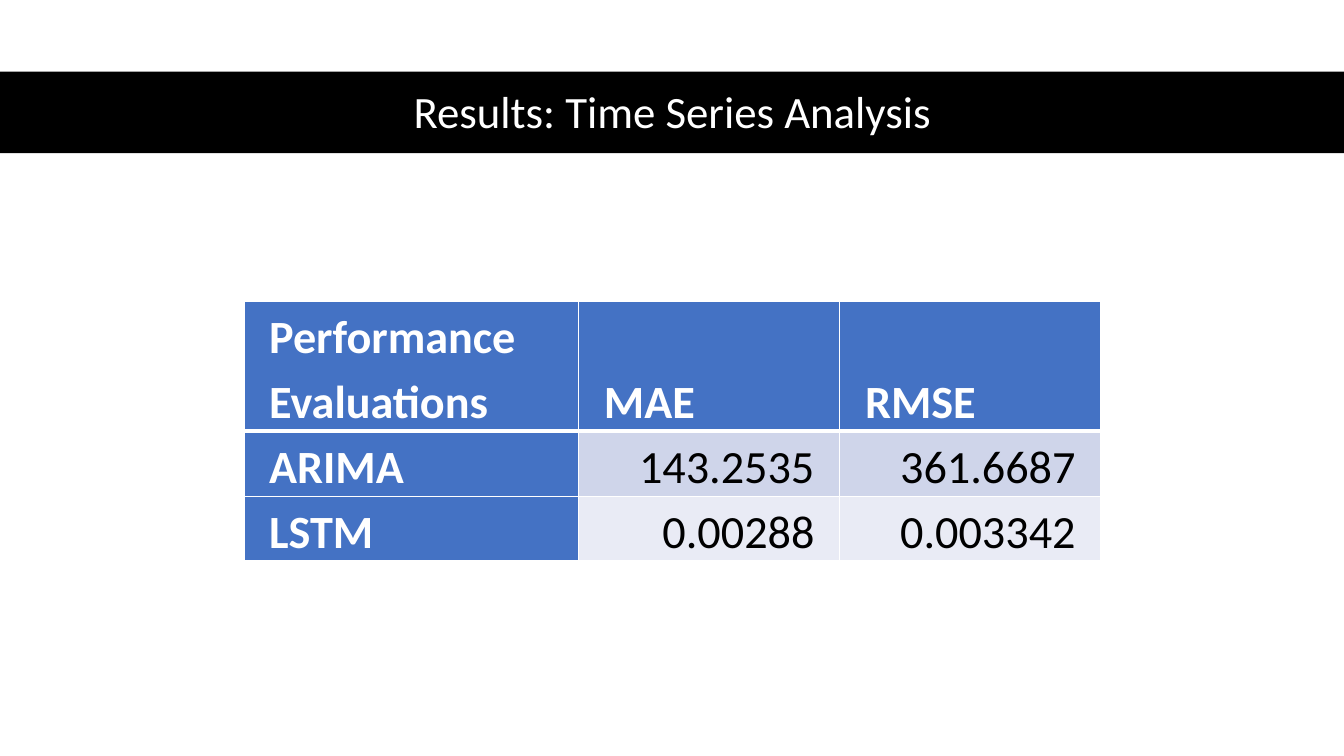
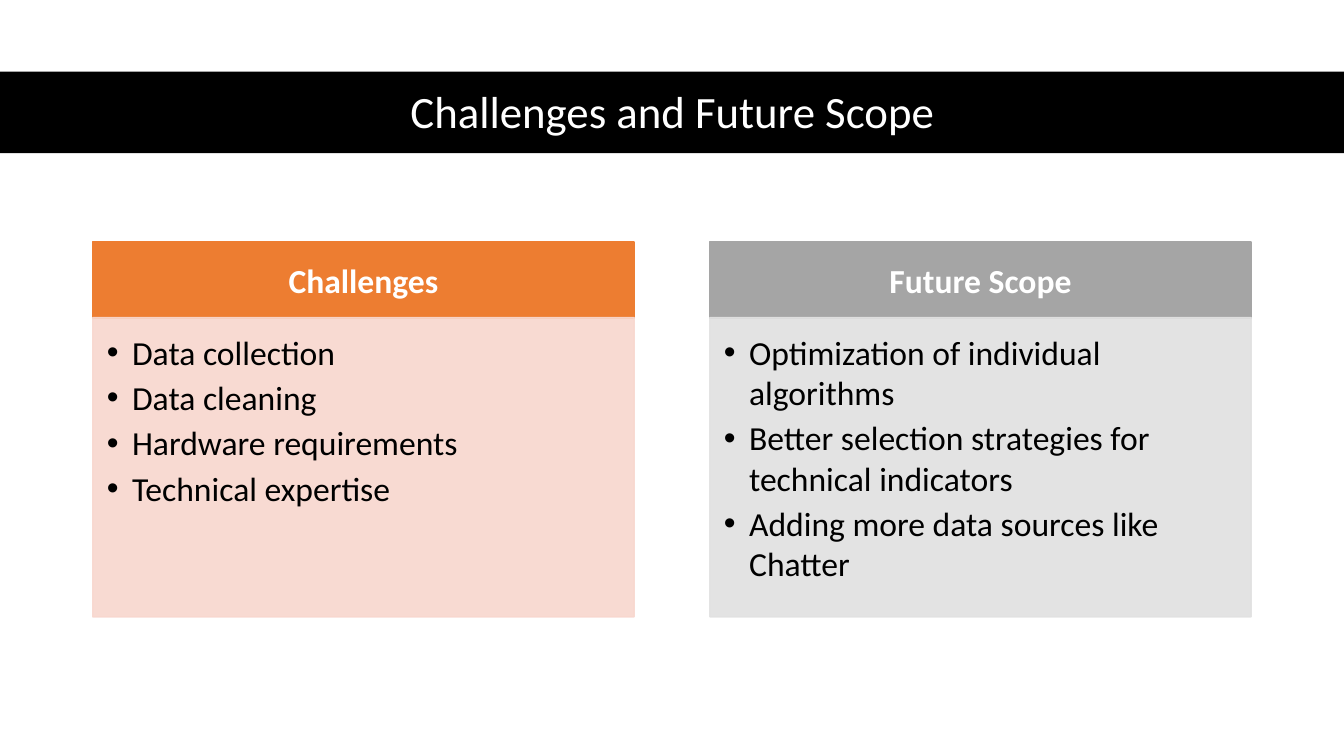
import pptx
import pptx.dml.color
import pptx.enum.shapes
import pptx.enum.text
import pptx.oxml
import pptx.oxml.ns
import pptx.util
from pptx.util import Inches

ALIGN = pptx.enum.text.PP_ALIGN
ANCHOR = pptx.enum.text.MSO_ANCHOR
WHITE, BLACK = "FFFFFF", "000000"


def rgb(value):
    return pptx.dml.color.RGBColor.from_string(value)


def element(xml):
    return pptx.oxml.parse_xml(xml.replace(">", " " + pptx.oxml.ns.nsdecls("a") + ">", 1))


class Deck:
    """Slides with a black title band, and the elements placed on them."""

    font = "Calibri"
    blue = "4472C4"
    stripes = ("CFD5EA", "E9EBF5")

    def __init__(self):
        self.prs = pptx.Presentation()
        self.prs.slide_width = Inches(13.33)
        self.prs.slide_height = Inches(7.5)
        self.s = None

    def slide(self, title):
        self.s = self.prs.slides.add_slide(self.prs.slide_layouts[5])
        band = self.box(0, 0.71, 13.33, 0.81, BLACK)
        band.line.fill.background()
        sp = self.s.shapes.title
        sp.left, sp.top, sp.width, sp.height = map(Inches, (0.92, 0.74, 11.5, 0.78))
        sp._element.addprevious(band._element)
        tf = sp.text_frame
        tf.auto_size = pptx.enum.text.MSO_AUTO_SIZE.NONE
        tf.vertical_anchor = ANCHOR.MIDDLE
        p = tf.paragraphs[0]
        p.line_spacing = 0.9
        self.text(p, title, 32, WHITE, align=ALIGN.CENTER)

    def text(self, p, text, size, color, bold=False, align=ALIGN.LEFT):
        p.alignment = align
        r = p.add_run()
        r.text = text
        r.font.name = self.font
        r.font.size = pptx.util.Pt(size)
        r.font.bold = bold
        r.font.color.rgb = rgb(color)

    def box(self, x, y, w, h, color, opacity=100):
        sp = self.s.shapes.add_shape(
            pptx.enum.shapes.MSO_SHAPE.RECTANGLE, *map(Inches, (x, y, w, h)))
        sp.shadow.inherit = False
        sp.fill.solid()
        sp.fill.fore_color.rgb = rgb(color)
        sp.line.color.rgb = rgb(color)
        sp.line.width = pptx.util.Pt(1)
        if opacity < 100:
            for clr in sp._element.spPr.iter(pptx.oxml.ns.qn("a:srgbClr")):
                clr.append(element(f'<a:alpha val="{opacity * 1000}"></a:alpha>'))
        return sp

    def inset(self, tf, left, top, right, bottom):
        tf.word_wrap = True
        tf.margin_left, tf.margin_top = Inches(left), Inches(top)
        tf.margin_right, tf.margin_bottom = Inches(right), Inches(bottom)

    def card(self, x, heading, items, color, tint):
        tf = self.box(x, 2.4, 5.37, 0.76, color).text_frame
        self.inset(tf, 0.19, 0.11, 0.19, 0.11)
        tf.vertical_anchor = ANCHOR.MIDDLE
        self.text(tf.paragraphs[0], heading, 24, WHITE, True, ALIGN.CENTER)
        tf = self.box(x, 3.15, 5.37, 2.97, tint, 90).text_frame
        self.inset(tf, 0.14, 0.14, 0.19, 0.21)
        tf.vertical_anchor = ANCHOR.TOP
        for i, item in enumerate(items):
            p = tf.add_paragraph() if i else tf.paragraphs[0]
            p.space_after = pptx.util.Pt(3.6)
            self.text(p, item, 24, BLACK)
            self.bullet(p)

    def bullet(self, p):
        pPr = p._p.get_or_add_pPr()
        pPr.set("marL", str(Inches(0.25)))
        pPr.set("indent", str(-Inches(0.25)))
        pPr.append(element('<a:buFont typeface="Arial"></a:buFont>'))
        pPr.append(element('<a:buChar char="•"></a:buChar>'))

    def table(self, x, y, widths, heights, rows):
        frame = self.s.shapes.add_table(
            len(rows), len(widths), *map(Inches, (x, y, sum(widths), sum(heights))))
        tbl = frame.table
        for col, width in zip(tbl.columns, widths):
            col.width = Inches(width)
        for i, (row, height) in enumerate(zip(rows, heights)):
            tbl.rows[i].height = Inches(height)
            for j, text in enumerate(row):
                self.cell(tbl.cell(i, j), i, j, text)

    def cell(self, cell, i, j, text):
        header = i == 0 or j == 0
        self.inset(cell.text_frame, 0, 0, 0, 0)
        cell.margin_left = cell.margin_right = Inches(0.25)
        cell.margin_top = cell.margin_bottom = 0
        cell.vertical_anchor = ANCHOR.BOTTOM
        cell.fill.solid()
        cell.fill.fore_color.rgb = rgb(self.blue if header else self.stripes[(i - 1) % 2])
        p = cell.text_frame.paragraphs[0]
        p.line_spacing = 1.15
        p.space_before = pptx.util.Pt(5)
        self.text(p, text, 33, WHITE if header else BLACK, header,
                  ALIGN.LEFT if header else ALIGN.RIGHT)
        tcPr = cell._tc.get_or_add_tcPr()
        for n, side in enumerate("LRTB"):
            thick = (i, side) in ((0, "B"), (1, "T"))
            width = pptx.util.Pt(3 if thick else 1)
            tcPr.insert(n, element(
                f'<a:ln{side} w="{width}"><a:solidFill><a:srgbClr val="{WHITE}"/>'
                f'</a:solidFill></a:ln{side}>'))


def main():
    deck = Deck()
    deck.slide("Results: Time Series Analysis")
    deck.table(2.42, 2.99, (3.32, 2.59, 2.59), (1.28, 0.64, 0.64), (
        ("Performance Evaluations", "MAE", "RMSE"),
        ("ARIMA", "143.2535", "361.6687"),
        ("LSTM", "0.00288", "0.003342"),
    ))

    deck.slide("Challenges and Future Scope")
    cards = (
        ("Challenges",
         ("Data collection", "Data cleaning", "Hardware requirements",
          "Technical expertise"),
         "ED7D31", "F8D7CE"),
        ("Future Scope",
         ("Optimization of individual algorithms",
          "Better selection strategies for technical indicators",
          "Adding more data sources like Chatter"),
         "A5A5A5", "E1E1E1"),
    )
    for i, card in enumerate(cards):
        deck.card(0.92 + i * 6.12, *card)
    deck.prs.save("out.pptx")


if __name__ == "__main__":
    main()
